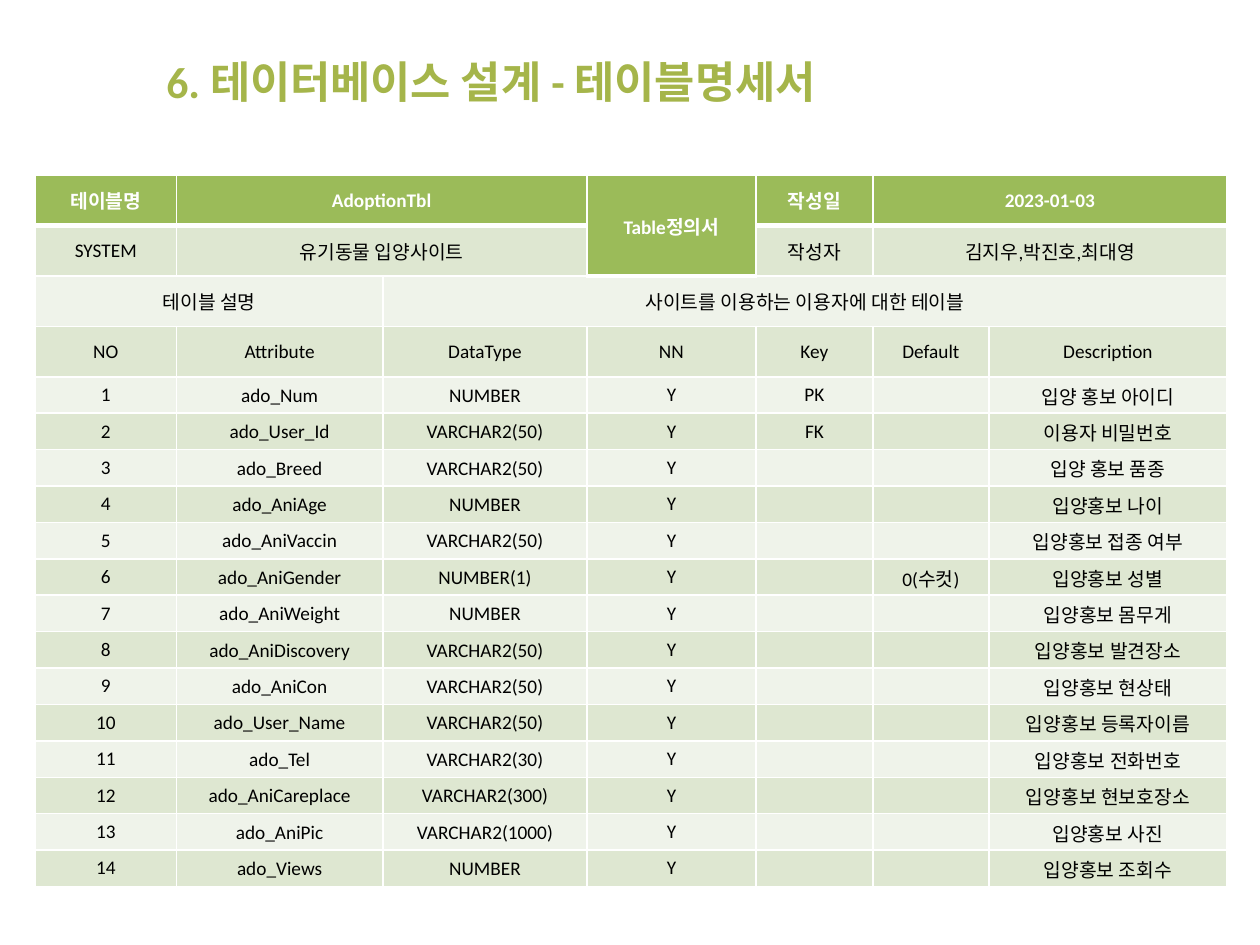
"""Build the table specification slide for the adoption database."""
from lxml.etree import SubElement
from pptx import Presentation
from pptx.dml.color import RGBColor
from pptx.enum.text import MSO_ANCHOR as Anchor, PP_ALIGN as Align
from pptx.oxml.ns import qn
from pptx.util import Inches, Pt

WHITE = RGBColor(0xFF, 0xFF, 0xFF)
BLACK = RGBColor(0, 0, 0)
OLIVE = RGBColor(0xA5, 0xB5, 0x4A)
GREEN = RGBColor(0x9B, 0xBB, 0x59)
SAGE = RGBColor(0xDE, 0xE7, 0xD1)
MIST = RGBColor(0xEF, 0xF3, 0xEA)

WIDTHS = [1.12, 1.64, 1.62, 1.34, 0.93, 0.92, 1.89]
HEADINGS = [
    ["테이블명", "AdoptionTbl", "", "Table정의서", "작성일", "2023-01-03", ""],
    ["SYSTEM", "유기동물 입양사이트", "", "", "작성자", "김지우,박진호,최대영", ""],
    ["테이블 설명", "", "사이트를 이용하는 이용자에 대한 테이블", "", "", "", ""],
    ["NO", "Attribute", "DataType", "NN", "Key", "Default", "Description"],
]
MERGES = [
    ((0, 1), (0, 2)), ((0, 3), (1, 3)), ((0, 5), (0, 6)), ((1, 1), (1, 2)),
    ((1, 5), (1, 6)), ((2, 0), (2, 1)), ((2, 2), (2, 6)),
]
FIELDS = [
    ("ado_Num", "NUMBER", "PK", "", "입양 홍보 아이디"),
    ("ado_User_Id", "VARCHAR2(50)", "FK", "", "이용자 비밀번호"),
    ("ado_Breed", "VARCHAR2(50)", "", "", "입양 홍보 품종"),
    ("ado_AniAge", "NUMBER", "", "", "입양홍보 나이"),
    ("ado_AniVaccin", "VARCHAR2(50)", "", "", "입양홍보 접종 여부"),
    ("ado_AniGender", "NUMBER(1)", "", "0(수컷)", "입양홍보 성별"),
    ("ado_AniWeight", "NUMBER", "", "", "입양홍보 몸무게"),
    ("ado_AniDiscovery", "VARCHAR2(50)", "", "", "입양홍보 발견장소"),
    ("ado_AniCon", "VARCHAR2(50)", "", "", "입양홍보 현상태"),
    ("ado_User_Name", "VARCHAR2(50)", "", "", "입양홍보 등록자이름"),
    ("ado_Tel", "VARCHAR2(30)", "", "", "입양홍보 전화번호"),
    ("ado_AniCareplace", "VARCHAR2(300)", "", "", "입양홍보 현보호장소"),
    ("ado_AniPic", "VARCHAR2(1000)", "", "", "입양홍보 사진"),
    ("ado_Views", "NUMBER", "", "", "입양홍보 조회수"),
]
TIGHT_COLUMNS = (1, 2, 5, 6)


class SlideBuilder:
    """Hold the text style and the current page."""

    def __init__(self, page, font="Calibri", size=11):
        self.page = page
        self.font = font
        self.size = size

    def format_text(self, paragraph, size, color, bold, align):
        """Apply one style to every run of a paragraph."""
        paragraph.alignment = align
        for span in paragraph.runs:
            span.font.name = self.font
            span.font.size = Pt(size)
            span.font.bold = bold
            span.font.color.rgb = color

    def title(self, text, left, top, width, height):
        """Place and fill the title placeholder."""
        box = self.page.shapes.title
        box.left, box.top = Inches(left), Inches(top)
        box.width, box.height = Inches(width), Inches(height)
        box.text_frame.text = text
        box.text_frame.vertical_anchor = Anchor.MIDDLE
        self.format_text(box.text_frame.paragraphs[0], 25, OLIVE, True, Align.LEFT)

    def borders(self, cell, top, bottom):
        """Draw white cell borders, with given top and bottom widths."""
        properties = cell._tc.get_or_add_tcPr()
        for side, width in (("L", 1), ("R", 1), ("T", top), ("B", bottom)):
            line = SubElement(properties, qn(f"a:ln{side}"), w=str(Pt(width)))
            fill = SubElement(line, qn("a:solidFill"))
            SubElement(fill, qn("a:srgbClr"), val=str(WHITE))

    def cell(self, cell, text, fill, color, bold, tight):
        """Fill one table cell with centred text."""
        cell.fill.solid()
        cell.fill.fore_color.rgb = fill
        cell.vertical_anchor = Anchor.MIDDLE
        if tight:
            cell.margin_left = cell.margin_right = cell.margin_top = Inches(0.01)
            cell.margin_bottom = 0
        para = cell.text_frame.paragraphs[0]
        para.text = text
        self.format_text(para, self.size, color, bold, Align.CENTER)
        if not text:
            SubElement(para._p, qn("a:endParaRPr"), sz=str(self.size * 100))

    def table(self, rows, heading_count, left, top):
        """Add the specification table."""
        heights = [0.4 if r < heading_count else 0.28 for r in range(len(rows))]
        grid = self.page.shapes.add_table(
            len(rows), len(WIDTHS), Inches(left), Inches(top),
            Inches(sum(WIDTHS)), Inches(sum(heights))).table
        for column, width in zip(grid.columns, WIDTHS):
            column.width = Inches(width)
        for r, values in enumerate(rows):
            grid.rows[r].height = Inches(heights[r])
            header = r == 0
            fill = GREEN if header else SAGE if r % 2 else MIST
            for c, text in enumerate(values):
                cell = grid.cell(r, c)
                self.borders(cell, 3 if r == 1 else 1, 3 if header else 1)
                tight = bool(text) and r >= heading_count and c in TIGHT_COLUMNS
                self.cell(cell, text, fill, WHITE if header else BLACK, header, tight)
        for first, last in MERGES:
            grid.cell(*first).merge(grid.cell(*last))


def main():
    """Create and save the deck."""
    deck = Presentation()
    deck.slide_width, deck.slide_height = Inches(10), Inches(7.5)
    builder = SlideBuilder(deck.slides.add_slide(deck.slide_layouts[5]))
    builder.title("6. 테이터베이스 설계 - 테이블명세서", 1.22, 0.25, 8.28, 0.79)
    fields = [
        [str(number), name, kind, "Y", key, default, description]
        for number, (name, kind, key, default, description) in enumerate(FIELDS, 1)
    ]
    builder.table(HEADINGS + fields, len(HEADINGS), 0.28, 1.39)
    deck.save("out.pptx")


if __name__ == "__main__":
    main()
